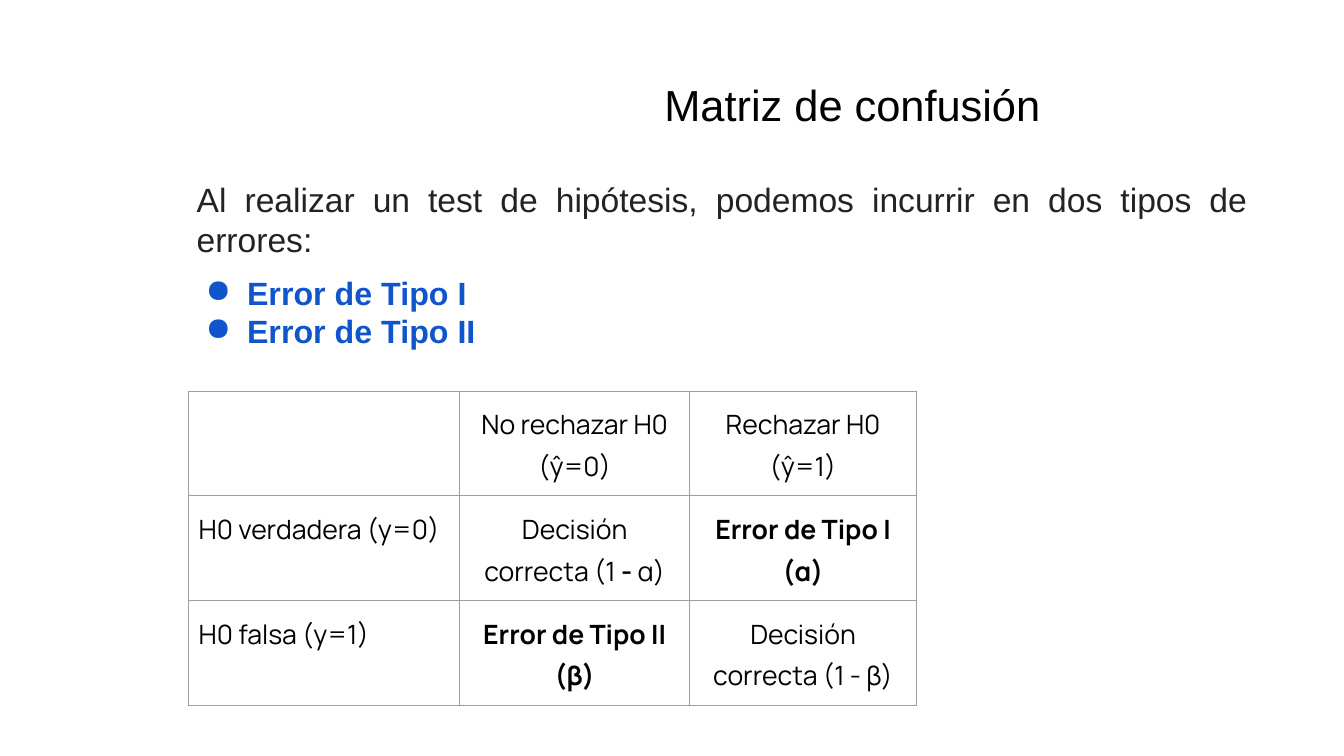
"""Build the slide on the confusion matrix of a hypothesis test."""
from dataclasses import dataclass

from lxml.etree import SubElement
from pptx import Presentation
from pptx.dml.color import RGBColor
from pptx.enum.text import PP_ALIGN as Align
from pptx.oxml.ns import qn
from pptx.slide import Slide
from pptx.table import _Cell as Cell
from pptx.text.text import TextFrame, _Paragraph as Paragraph
from pptx.util import Inches, Pt

BLACK = RGBColor(0x00, 0x00, 0x00)
CHARCOAL = RGBColor(0x23, 0x23, 0x23)
BLUE = RGBColor(0x11, 0x55, 0xCC)
GRAY = RGBColor(0x9E, 0x9E, 0x9E)

COLUMN_WIDTHS = (2.69, 2.28, 2.25)
ROW_HEIGHT = 1.04


@dataclass(frozen=True)
class Span:
    text: str
    bold: bool = False


@dataclass(frozen=True)
class Entry:
    spans: tuple[Span, ...]
    align: Align = Align.CENTER


MATRIX = (
    (
        Entry(()),
        Entry((Span("No rechazar H0 (ŷ=0)"),)),
        Entry((Span("Rechazar H0 (ŷ=1)"),)),
    ),
    (
        Entry((Span("H0 verdadera (y=0)"),), Align.LEFT),
        Entry((Span("Decisión correcta (1 "), Span("- ", True), Span("α)"))),
        Entry((Span("Error de Tipo I (α)", True),)),
    ),
    (
        Entry((Span("H0 falsa (y=1)"),), Align.LEFT),
        Entry((Span("Error de Tipo II (β)", True),)),
        Entry((Span("Decisión correcta (1 - β)"),)),
    ),
)


def style(para: Paragraph, font: str, size: float, color: RGBColor) -> None:
    """Set the font shared by all runs of a paragraph."""
    para.font.name = font
    para.font.size = Pt(size)
    para.font.color.rgb = color


def add_box(page: Slide, left: float, top: float, width: float, height: float,
            side: float, edge: float) -> TextFrame:
    """Add a wrapping text box and return its frame."""
    box = page.shapes.add_textbox(Inches(left), Inches(top), Inches(width), Inches(height))
    frame = box.text_frame
    frame.word_wrap = True
    frame.margin_left = frame.margin_right = Inches(side)
    frame.margin_top = frame.margin_bottom = Inches(edge)
    return frame


def add_bullet(para: Paragraph) -> None:
    """Give a paragraph a blue round bullet with a hanging indent."""
    properties = para._p.get_or_add_pPr()
    properties.set("marL", str(Inches(0.5)))
    properties.set("indent", str(Inches(-0.41)))
    color = SubElement(properties, qn("a:buClr"))
    SubElement(color, qn("a:srgbClr"), val=str(BLUE))
    SubElement(properties, qn("a:buChar"), char="●")


def add_borders(cell: Cell) -> None:
    """Draw a thin gray line on the four sides of a cell."""
    properties = cell._tc.get_or_add_tcPr()
    for position, side in enumerate(("a:lnL", "a:lnR", "a:lnT", "a:lnB")):
        line = SubElement(properties, qn(side), w=str(Pt(0.75)))
        fill = SubElement(line, qn("a:solidFill"))
        SubElement(fill, qn("a:srgbClr"), val=str(GRAY))
        properties.insert(position, line)


def fill_cell(cell: Cell, entry: Entry) -> None:
    """Write one entry of the matrix into its cell."""
    cell.fill.background()
    cell.margin_left = cell.margin_right = Inches(0.1)
    cell.margin_top = cell.margin_bottom = Inches(0.1)
    add_borders(cell)
    para = cell.text_frame.paragraphs[0]
    para.alignment = entry.align
    para.line_spacing = 1.15
    style(para, "Manrope", 19, BLACK)
    for span in entry.spans:
        run = para.add_run()
        run.text = span.text
        run.font.bold = span.bold


def add_introduction(page: Slide) -> None:
    """Add the opening sentence and the two error types."""
    frame = add_box(page, 1.87, 1.69, 10.58, 3.12, 0.08, 0.08)
    opening = frame.paragraphs[0]
    opening.text = "Al realizar un test de hipótesis, podemos incurrir en dos tipos de errores:"
    opening.alignment = Align.JUSTIFY
    style(opening, "Arial", 24, CHARCOAL)
    for text, space in (("Error de Tipo I", 10), ("Error de Tipo II", 0)):
        para = frame.add_paragraph()
        para.text = text
        para.alignment = Align.JUSTIFY
        para.space_before = Pt(space)
        add_bullet(para)
        style(para, "Arial", 23, BLUE)
        para.font.bold = True


def add_matrix(page: Slide) -> None:
    """Add the table of decisions and errors."""
    rows, columns = len(MATRIX), len(COLUMN_WIDTHS)
    table = page.shapes.add_table(
        rows, columns, Inches(1.87), Inches(3.88),
        Inches(sum(COLUMN_WIDTHS)), Inches(rows * ROW_HEIGHT)).table
    table.first_row = table.horz_banding = False
    for column, width in zip(table.columns, COLUMN_WIDTHS):
        column.width = Inches(width)
    for row, entries in zip(table.rows, MATRIX):
        row.height = Inches(ROW_HEIGHT)
        for cell, entry in zip(row.cells, entries):
            fill_cell(cell, entry)


def add_title(page: Slide) -> None:
    """Add the slide title."""
    para = add_box(page, 6.49, 0.73, 6.31, 0.71, 0.1, 0.05).paragraphs[0]
    para.text = "Matriz de confusión"
    style(para, "Arial", 31, BLACK)


def main() -> None:
    """Build and save the deck."""
    deck = Presentation()
    deck.slide_width, deck.slide_height = Inches(13.33), Inches(7.5)
    page = deck.slides.add_slide(deck.slide_layouts[6])
    add_introduction(page)
    add_matrix(page)
    add_title(page)
    deck.save("out.pptx")


if __name__ == "__main__":
    main()
